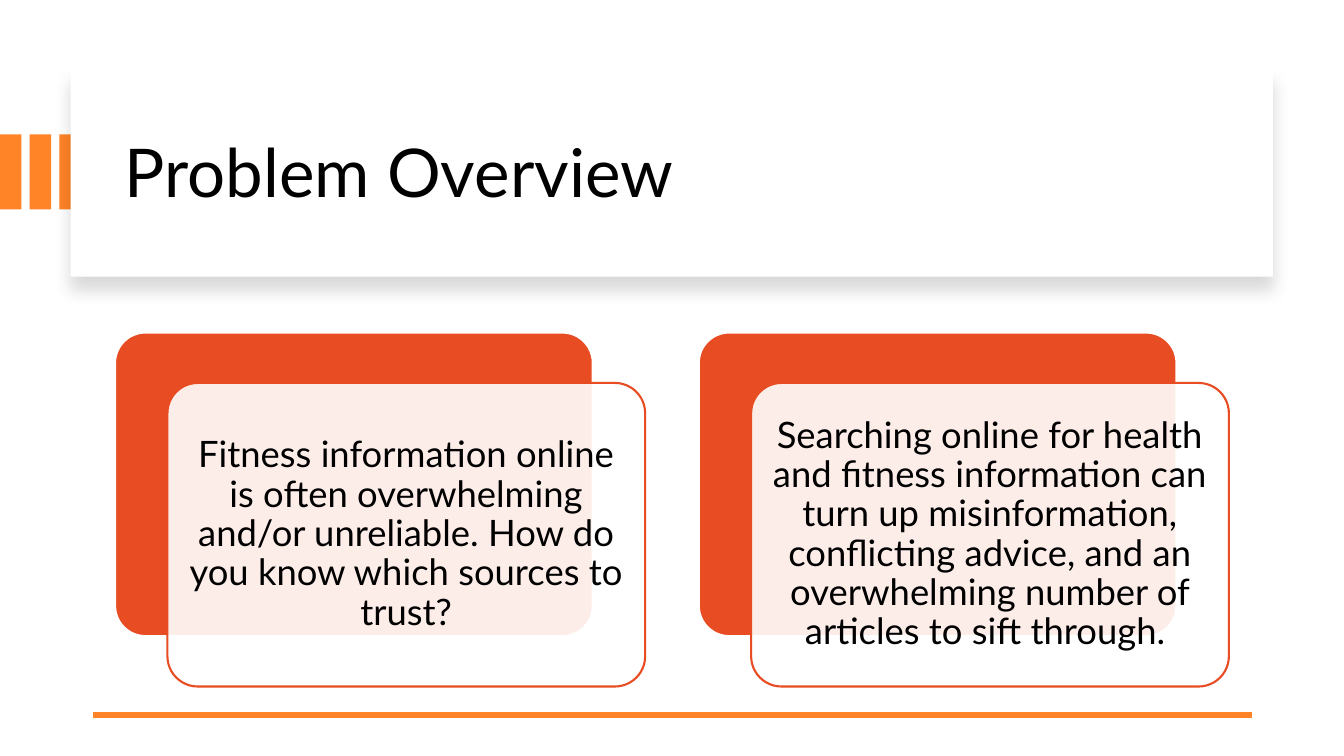
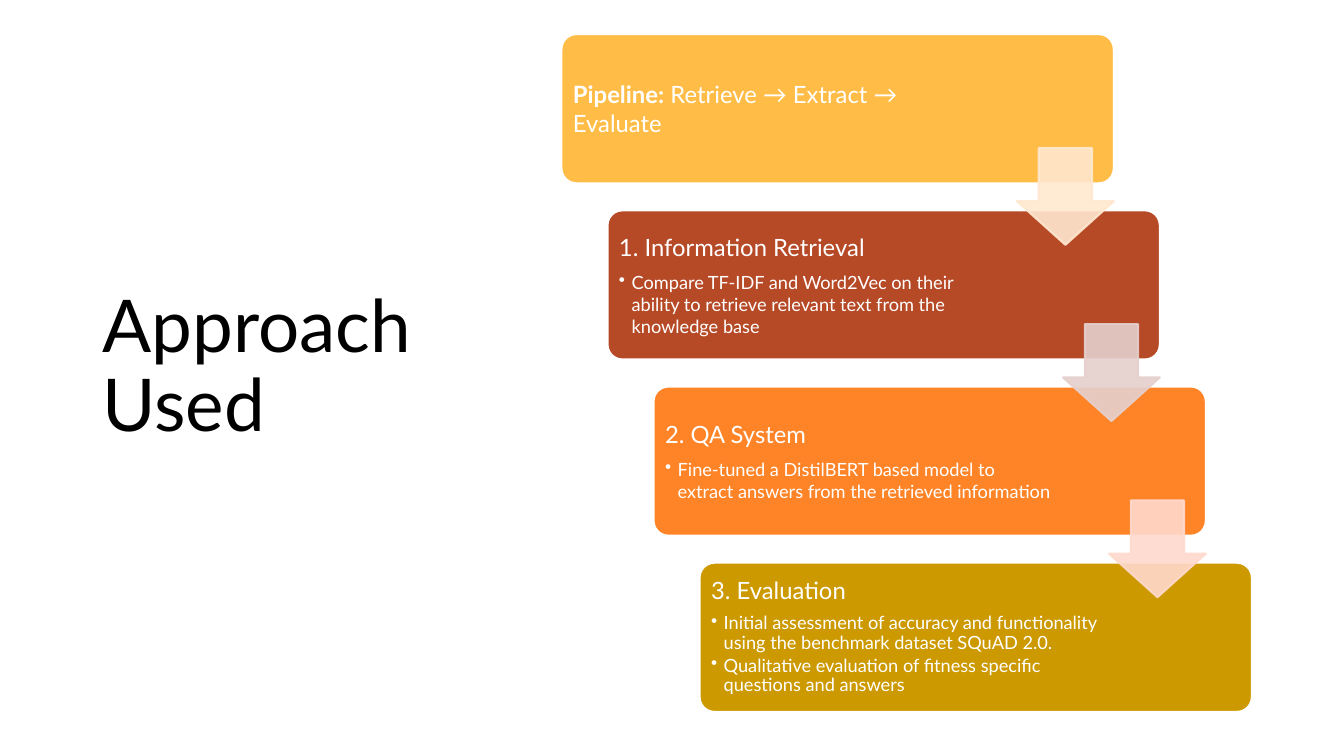
"""Build two slides: the problem overview and the approach used."""
from dataclasses import dataclass

from lxml import etree
from pptx import Presentation
from pptx import util as u
from pptx.dml.color import RGBColor
from pptx.enum import shapes, text
from pptx.oxml.ns import qn


@dataclass(frozen=True)
class Theme:
    """Colours, type sizes and font of the deck."""
    font: str = "Lato"
    ink: str = "000000"
    paper: str = "FFFFFF"
    accent: str = "FF8427"
    card: str = "E84C22"
    steps: tuple = ("FFBD47", "B64926", "FF8427", "CC9900")
    arrows: tuple = ("FFE8CF", "E5D0CD", "FFD9CD")
    title: int = 48
    side_title: int = 52
    statement: int = 26
    heading: int = 17
    detail: int = 13
    outline: float = 1.5
    rule: float = 4.5
    tight: float = 0.9


KIND = shapes.MSO_SHAPE
FILL_ONLY = "./a:solidFill/a:srgbClr"
FILL_AND_LINE = ".//a:srgbClr"


class Deck:
    """Holds the style and the slide being drawn."""

    def __init__(self, theme):
        """Start an empty widescreen deck."""
        self.theme = theme
        self.show = Presentation()
        self.show.slide_width, self.show.slide_height = u.Cm(33.87), u.Cm(19.05)
        self.slide = None

    def new_slide(self):
        """Add a blank slide and make it current."""
        self.slide = self.show.slides.add_slide(self.show.slide_layouts[6])

    def block(self, kind, box, fill, line=None, adjust=(), fade=None):
        """Draw a filled preset shape, with the faded colours at 90 percent."""
        shape = self.slide.shapes.add_shape(kind, *map(u.Cm, box))
        shape.shadow.inherit = False
        for index, value in enumerate(adjust):
            shape.adjustments[index] = value
        shape.fill.solid()
        shape.fill.fore_color.rgb = RGBColor.from_string(fill)
        if line:
            shape.line.color.rgb = RGBColor.from_string(line)
            shape.line.width = u.Pt(self.theme.outline)
        else:
            shape.line.fill.background()
        if fade:
            for colour in shape._element.spPr.xpath(fade):
                etree.SubElement(colour, qn("a:alpha"), val="90000")
        return shape

    def rounded(self, box, fill, line=None, fade=None):
        """Draw a rounded box, outlined in the paper colour by default."""
        self.block(KIND.ROUNDED_RECTANGLE, box, fill, line or self.theme.paper, (0.1,), fade)

    def arrow(self, box, colour):
        """Draw a translucent arrow pointing down."""
        self.block(KIND.DOWN_ARROW, box, colour, colour, (0.55, 0.45), FILL_AND_LINE)

    def panel(self, box):
        """Draw a paper panel with a soft shadow below it."""
        panel = self.block(KIND.RECTANGLE, box, self.theme.paper)
        effects = panel._element.spPr.find(qn("a:effectLst"))
        shadow = etree.SubElement(effects, qn("a:outerShdw"), blurRad=str(u.Pt(11)),
                                  dist=str(u.Pt(10)), dir="5400000", algn="t", rotWithShape="0")
        colour = etree.SubElement(shadow, qn("a:srgbClr"), val=self.theme.ink)
        etree.SubElement(colour, qn("a:alpha"), val="15000")

    def rule(self, left, right, top):
        """Draw a horizontal accent line."""
        rule = self.slide.shapes.add_connector(
            shapes.MSO_CONNECTOR.STRAIGHT, *map(u.Cm, (left, top, right, top)))
        rule.line.color.rgb = RGBColor.from_string(self.theme.accent)
        rule.line.width = u.Pt(self.theme.rule)
        etree.SubElement(rule._element.spPr, qn("a:effectLst"))

    def text_frame(self, box, inset=None):
        """Add a wrapped, vertically centred text box."""
        frame = self.slide.shapes.add_textbox(*map(u.Cm, box)).text_frame
        frame.word_wrap = True
        frame.vertical_anchor = text.MSO_ANCHOR.MIDDLE
        if inset is not None:
            for side in ("left", "top", "right", "bottom"):
                setattr(frame, f"margin_{side}", u.Cm(inset))
        return frame

    def paragraph(self, frame, runs, size, colour, bullet=False, **layout):
        """Write one paragraph from (words, bold) pairs."""
        first = frame.paragraphs[0]
        para = first if not first.runs else frame.add_paragraph()
        if bullet:
            props = para._p.get_or_add_pPr()
            props.set("marL", str(u.Cm(0.32)))
            props.set("indent", str(-u.Cm(0.32)))
            etree.SubElement(props, qn("a:buChar"), char="•")
        for name, value in layout.items():
            setattr(para, name, value)
        for words, bold in runs:
            run = para.add_run()
            run.text = words
            look = {"name": self.theme.font, "size": u.Pt(size), "bold": bold}
            for name, value in look.items():
                setattr(run.font, name, value)
            run.font.color.rgb = RGBColor.from_string(colour)

    def title(self, words, box, size):
        """Write the slide title."""
        self.paragraph(self.text_frame(box), [(words, False)], size, self.theme.ink,
                       line_spacing=self.theme.tight)

    def card(self, left, top, statement):
        """Draw a coloured card with a translucent statement card over it."""
        width, height = 12.04, 7.65
        front_left, front_top, inset = left + 1.32, top + 1.27, 0.23
        self.rounded((left, top, width, height), self.theme.card)
        self.rounded((front_left, front_top, width, height), self.theme.paper,
                     self.theme.card, FILL_ONLY)
        frame = self.text_frame((front_left + inset, front_top + inset,
                                 width - 2 * inset, height - 2 * inset), 0.28)
        self.paragraph(frame, [(statement, False)], self.theme.statement, self.theme.ink,
                       alignment=text.PP_ALIGN.CENTER, line_spacing=self.theme.tight,
                       space_after=u.Pt(11))

    def step(self, left, top, fill, heading, details, text_width, spacing):
        """Draw one pipeline step with its heading and bullets."""
        self.rounded((left, top, 13.92, 3.76), fill)
        frame = self.text_frame((left + 0.11, top + 0.11, text_width, 3.53), 0.18)
        self.paragraph(frame, heading, self.theme.heading, self.theme.paper,
                       line_spacing=spacing, space_after=u.Pt(7))
        for detail in details:
            self.paragraph(frame, [(detail, False)], self.theme.detail, self.theme.paper,
                           bullet=True, line_spacing=spacing, space_after=u.Pt(2))


def problem_slide(deck):
    """Draw the problem overview."""
    deck.new_slide()
    for index in range(3):
        deck.block(KIND.RECTANGLE, (0.75 * index, 3.39, 0.54, 1.89), deck.theme.accent)
    deck.panel((1.78, 1.7, 30.3, 5.27))
    deck.title("Problem Overview", (2.9, 2.26, 28.27, 4.32), deck.theme.title)
    deck.rule(2.34, 31.55, 18.01)
    statements = (
        "Fitness information online is often overwhelming and/or unreliable. "
        "How do you know which sources to trust?",
        "Searching online for health and fitness information can turn up misinformation, "
        "conflicting advice, and an overwhelming number of articles to sift through. ",
    )
    for index, statement in enumerate(statements):
        deck.card(2.9 + 14.71 * index, 8.38, statement)


def approach_slide(deck):
    """Draw the pipeline as a staircase of steps."""
    deck.new_slide()
    deck.title("Approach Used", (2.34, 1.55, 9.37, 15.47), deck.theme.side_title)
    right, down = 1.16, 4.44
    steps = (
        ([("Pipeline:", True), (" Retrieve → Extract → Evaluate", False)], (), 9.55, 1.0),
        ([("1. Information Retrieval", False)],
         ("Compare TF-IDF and Word2Vec on their ability to retrieve relevant text "
          "from the knowledge base",), 10.09, 1.0),
        ([("2. QA System", False)],
         ("Fine-tuned a DistilBERT based model to extract answers from the retrieved "
          "information",), 10.09, 1.0),
        ([("3. Evaluation", False)],
         ("Initial assessment of accuracy and functionality using the benchmark dataset "
          "SQuAD 2.0.",
          "Qualitative evaluation of fitness specific questions and answers"),
         10.09, deck.theme.tight),
    )
    for index, (fill, step) in enumerate(zip(deck.theme.steps, steps)):
        deck.step(14.15 + right * index, 0.86 + down * index, fill, *step)
    for index, colour in enumerate(deck.theme.arrows):
        deck.arrow((25.63 + right * index, 3.73 + down * index, 2.44, 2.44), colour)


def main():
    """Build and save the deck."""
    deck = Deck(Theme())
    problem_slide(deck)
    approach_slide(deck)
    deck.show.save("out.pptx")


if __name__ == "__main__":
    main()
